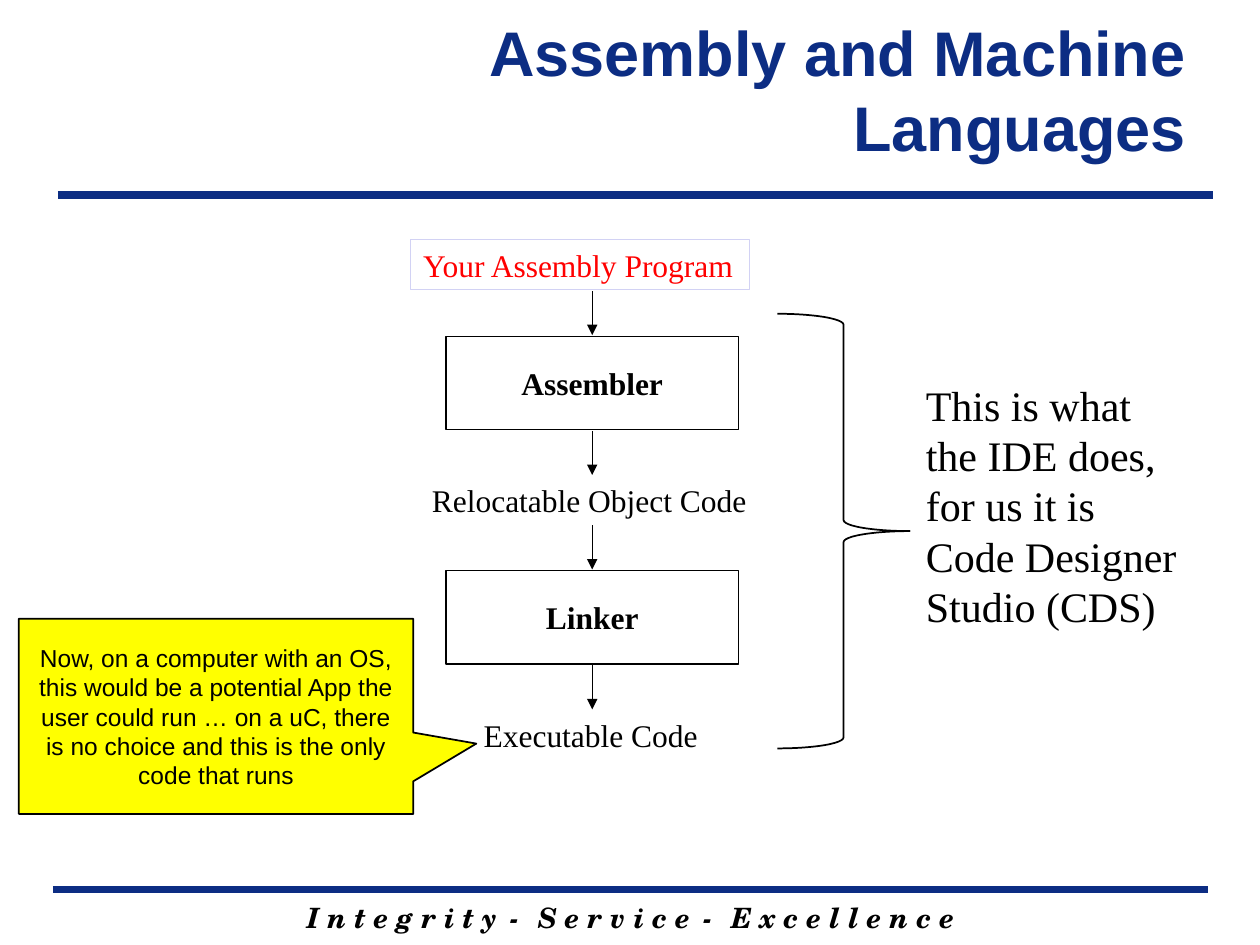
import pptx
import pptx.util
import pptx.dml.color
import pptx.enum.shapes
import pptx.enum.text
import pptx.oxml.ns
import lxml.etree

Inches = pptx.util.Inches
Pt = pptx.util.Pt
Shape = pptx.enum.shapes.MSO_SHAPE
Align = pptx.enum.text.PP_ALIGN
Anchor = pptx.enum.text.MSO_ANCHOR

COLORS = {
    "navy": "0C2D83",
    "black": "000000",
    "red": "FF0000",
    "yellow": "FFFF00",
    "lavender": "D2D2F4",
}
SERIF = "Times New Roman"
SANS = "Arial"
MOTTO = "TeX Gyre Schola"


class SlideBuilder:
    def __init__(self, slide):
        self.slide = slide

    def color(self, name):
        return pptx.dml.color.RGBColor.from_string(COLORS[name])

    def add_runs(self, shape, runs, size, font=SERIF, color="black", bold=False,
                 italic=False, align=Align.LEFT, anchor=Anchor.TOP, wrap=True):
        """Put (text, letter spacing in points) runs into one paragraph."""
        frame = shape.text_frame
        frame.word_wrap = wrap
        frame.vertical_anchor = anchor
        paragraph = frame.paragraphs[0]
        paragraph.alignment = align
        for text, spacing in runs:
            run = paragraph.add_run()
            run.text = text
            run.font.name = font
            run.font.size = Pt(size)
            run.font.bold = bold
            run.font.italic = italic
            run.font.color.rgb = self.color(color)
            if spacing:
                run.font._element.set("spc", str(round(spacing * 100)))

    def text(self, left, top, width, height, runs, size, **style):
        box = self.slide.shapes.add_textbox(
            Inches(left), Inches(top), Inches(width), Inches(height))
        self.add_runs(box, runs, size, **style)

    def shape(self, kind, left, top, width, height, line="black",
              line_width=0.75, fill=None):
        shape = self.slide.shapes.add_shape(
            kind, Inches(left), Inches(top), Inches(width), Inches(height))
        shape.shadow.inherit = False
        if fill:
            shape.fill.solid()
            shape.fill.fore_color.rgb = self.color(fill)
        else:
            shape.fill.background()
        shape.line.color.rgb = self.color(line)
        shape.line.width = Pt(line_width)
        return shape

    def line(self, start, end, color="black", width=0.75, arrow=False):
        connector = self.slide.shapes.add_connector(
            pptx.enum.shapes.MSO_CONNECTOR.STRAIGHT,
            Inches(start[0]), Inches(start[1]), Inches(end[0]), Inches(end[1]))
        connector.line.color.rgb = self.color(color)
        connector.line.width = Pt(width)
        qn = pptx.oxml.ns.qn
        properties = connector._element.spPr
        if arrow:
            lxml.etree.SubElement(
                properties.find(qn("a:ln")), qn("a:tailEnd"), type="triangle")
        lxml.etree.SubElement(properties, qn("a:effectLst"))


def main():
    presentation = pptx.Presentation()
    presentation.slide_width = Inches(10)
    presentation.slide_height = Inches(7.5)
    builder = SlideBuilder(
        presentation.slides.add_slide(presentation.slide_layouts[6]))

    # Rules and motto
    for left, top in ((0.42, 7.06), (0.46, 1.55)):
        builder.line((left, top), (left + 9.17, top), "navy", 4.5)
    separator = (" - ", 3)
    builder.text(1.42, 7.1, 7.17, 0.37,
                 [("I n t e g r i t y", 0), separator, ("S e r v i c e", 0),
                  separator, ("E x c e l l e n c e", 0)],
                 16, font=MOTTO, bold=True, italic=True, align=Align.CENTER)

    # Title
    builder.text(2.09, 0.08, 7.42, 1.25,
                 [("Assembly and Machine Languages", 0)], 36, font=SANS,
                 color="navy", bold=True, align=Align.RIGHT, anchor=Anchor.MIDDLE)

    # Source program
    program = builder.shape(Shape.RECTANGLE, 3.26, 1.9, 2.69, 0.4, "lavender")
    builder.add_runs(program, [("Your Assembly Program", 0)], 18, color="red",
                     wrap=False)

    # Each stage: arrow in, tool box, arrow out, product
    stages = (
        ("Assembler", "Relocatable Object Code", 3.33, 2.73),
        ("Linker", "Executable Code", 3.74, 1.92),
    )
    for index, (tool, product, left, width) in enumerate(stages):
        top = 2.31 + index * 1.86
        for arrow_top in (top, top + 1.11):
            builder.line((4.7, arrow_top), (4.7, arrow_top + 0.35), arrow=True)
        box = builder.shape(Shape.RECTANGLE, 3.54, top + 0.36, 2.32, 0.74)
        builder.add_runs(box, [(tool, 0)], 18, bold=True, align=Align.CENTER,
                         anchor=Anchor.MIDDLE, wrap=False)
        builder.text(left, top + 1.46, width, 0.4, [(product, 0)], 18, wrap=False)

    # Brace and its explanation
    builder.shape(Shape.RIGHT_BRACE, 6.17, 2.49, 1.05, 3.45, line_width=1)
    builder.text(7.25, 2.96, 2.26, 2.52,
                 [("This is what the IDE does, for us it is "
                   "Code Designer Studio (CDS)", 0)], 24)

    # Callout pointing at the executable
    callout = builder.shape(Shape.RECTANGULAR_CALLOUT, 0.15, 4.91, 3.13, 1.55,
                            line_width=1, fill="yellow")
    callout.adjustments[0] = 0.66
    callout.adjustments[1] = 0.14
    builder.add_runs(callout,
                     [("Now, on a computer with an OS, this would be a potential "
                       "App the user could run … on a uC, there is no choice and "
                       "this is the only code that runs", 0)],
                     14, font=SANS, align=Align.CENTER, anchor=Anchor.MIDDLE)

    presentation.save("out.pptx")


if __name__ == "__main__":
    main()
